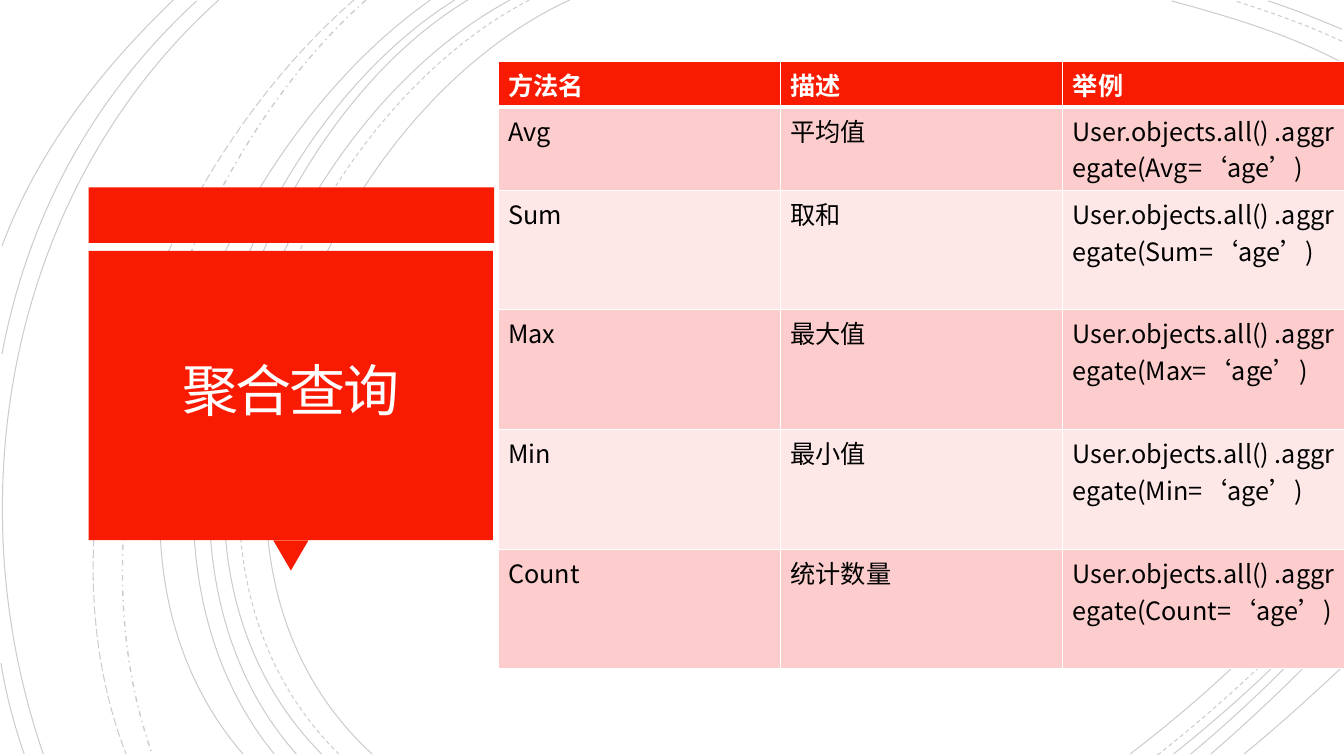
import lxml.etree
import pptx
import pptx.dml.color
import pptx.enum.dml
import pptx.enum.shapes
import pptx.enum.text
import pptx.oxml.ns
import pptx.util

Inches, Pt = pptx.util.Inches, pptx.util.Pt
qn = pptx.oxml.ns.qn
Dash = pptx.enum.dml.MSO_LINE
Form = pptx.enum.shapes.MSO_SHAPE

THEME = {
    "font": "Noto Sans CJK SC",
    "red": "F81B02", "pink": "FCCDCC", "pale": "FEE8E7",
    "white": "FFFFFF", "title": "FFFEFF", "black": "000000",
    "head size": 40, "cell size": 18, "thin": 0.75, "thick": 1,
}

TITLE = "聚合查询"
HEADS = ("方法名", "描述", "举例")
METHODS = (("Avg", "平均值"), ("Sum", "取和"), ("Max", "最大值"),
           ("Min", "最小值"), ("Count", "统计数量"))
ROWS = [HEADS] + [(name, note, f"User.objects.all() .aggregate({name}=‘age’)")
                  for name, note in METHODS]
HEIGHTS = (0.45, 0.83, 1.18, 1.19, 1.19, 1.18)
WIDTH = 2.8

ARCS = {
    Dash.SOLID: (
        ((5.65, 0), (3.15, 1.15), (1.43, 5.4), (3.69, 7.48)),
        ((13.31, 0.62), (12.78, 0.34), (12.18, 0.16), (11.62, 0.01)),
        ((11.21, 7.48), (11.97, 6.9), (12.69, 6.22), (13.31, 5.48)),
        ((5.06, 0), (2.7, 1.27), (1.1, 5.37), (3.19, 7.48)),
        ((13.31, 0.29), (13.07, 0.19), (12.83, 0.09), (12.58, 0.01)),
        ((11.64, 7.48), (12.23, 7.01), (12.8, 6.48), (13.31, 5.91)),
        ((4.64, 0), (2.44, 1.33), (1.1, 5.41), (2.94, 7.48)),
        ((11.81, 7.48), (12.34, 7.04), (12.84, 6.55), (13.31, 6.03)),
        ((4.51, 0), (2.31, 1.38), (0.97, 5.33), (2.72, 7.48)),
        ((12.01, 7.48), (12.46, 7.09), (12.9, 6.67), (13.31, 6.23)),
        ((4.27, 0), (2.17, 1.47), (0.53, 5.29), (2.41, 7.48)),
        ((12.34, 7.48), (12.67, 7.21), (12.99, 6.92), (13.31, 6.62)),
        ((2.17, 0), (0.11, 1.85), (-0.46, 4.9), (0.43, 7.48)),
        ((1.95, 0.01), (0.92, 0.96), (0.28, 2.14), (0.02, 3.51)),
        ((0.01, 6.58), (0.06, 6.89), (0.14, 7.19), (0.24, 7.48)),
        ((1.72, 0), (1, 0.69), (0.37, 1.5), (0.02, 2.44)),
    ),
    Dash.DASH: (
        ((5.25, 0), (2.85, 1.25), (1.23, 5.37), (3.36, 7.48)),
        ((13.31, 0.41), (12.97, 0.25), (12.6, 0.12), (12.25, 0.01)),
        ((11.48, 7.49), (12.13, 6.98), (12.75, 6.4), (13.3, 5.77)),
    ),
    Dash.DASH_DOT: (((3.63, 0), (1.76, 1.66), (0.65, 5.09), (1.51, 7.48)),),
    Dash.LONG_DASH: (((3.51, 0), (1.57, 1.69), (0.29, 4.99), (1.25, 7.48)),),
}

BLOCKS = (
    (Form.RECTANGLE, (0.88, 1.86, 4.02, 0.55), 0),
    (Form.ISOSCELES_TRIANGLE, (2.71, 5.36, 0.35, 0.3), 180),
    (Form.RECTANGLE, (0.88, 2.49, 4.01, 2.87), 0),
)


def shade(name):
    return pptx.dml.color.RGBColor.from_string(THEME[name])


def write(frame, words, size="cell size", color="black", bold=False,
          align=None, space=None, track=None):
    para = frame.paragraphs[0]
    para.alignment = align
    para.line_spacing = space
    run = para.add_run()
    run.text = words
    font = run.font
    font.size, font.bold, font.name = Pt(THEME[size]), bold, THEME["font"]
    font.color.rgb = shade(color)
    props = run._r.get_or_add_rPr()
    props.set("lang", "zh-CN")
    if track:
        props.set("spc", str(int(track * 100)))
    lxml.etree.SubElement(props, qn("a:ea"), typeface=THEME["font"])


def draw_arc(slide, points, dash):
    start, *rest = [tuple(Inches(n) for n in point) for point in points]
    pen = slide.shapes.build_freeform(*start)
    pen.add_line_segments(rest, close=False)
    arc = pen.convert_to_shape()
    steps = list(arc._element.iter(qn("a:lnTo")))
    curve = lxml.etree.SubElement(steps[0].getparent(), qn("a:cubicBezTo"))
    for step in steps:
        curve.append(step[0])
        step.getparent().remove(step)
    arc.shadow.inherit = False
    arc.fill.background()
    line = arc.line
    line.color.rgb = shade("black")
    line.width = Pt(THEME["thick" if dash == Dash.DASH_DOT else "thin"])
    line.dash_style = dash
    tint = next(arc._element.spPr.iter(qn("a:srgbClr")))
    lxml.etree.SubElement(tint, qn("a:alpha"), val="20000")


def draw_block(slide, form, box, turn):
    block = slide.shapes.add_shape(form, *map(Inches, box))
    block.rotation = turn
    block.shadow.inherit = False
    block.fill.solid()
    block.fill.fore_color.rgb = shade("red")
    block.line.fill.background()


def draw_title(slide):
    box = slide.shapes.add_textbox(*map(Inches, (0.97, 2.57, 3.83, 2.69)))
    frame = box.text_frame
    frame.word_wrap = True
    frame.vertical_anchor = pptx.enum.text.MSO_ANCHOR.MIDDLE
    frame.margin_left = frame.margin_right = Inches(0.25)
    frame.margin_top = frame.margin_bottom = Inches(0.25)
    write(frame, TITLE, size="head size", color="title", space=0.85,
          align=pptx.enum.text.PP_ALIGN.CENTER, track=-1.5)


def edge(cell, **widths):
    props = cell._tc.get_or_add_tcPr()
    for side in "LRTB":
        line = lxml.etree.SubElement(props, qn("a:ln" + side),
                                     w=str(Pt(widths.get(side, 1))))
        fill = lxml.etree.SubElement(line, qn("a:solidFill"))
        lxml.etree.SubElement(fill, qn("a:srgbClr"), val=THEME["white"])


def draw_table(slide):
    box = (4.94, 0.61, WIDTH * len(HEADS), sum(HEIGHTS))
    table = slide.shapes.add_table(len(ROWS), len(HEADS),
                                   *map(Inches, box)).table
    for col in table.columns:
        col.width = Inches(WIDTH)
    for r, row in enumerate(ROWS):
        table.rows[r].height = Inches(HEIGHTS[r])
        head = r == 0
        tone = "red" if head else "pink" if r % 2 else "pale"
        for c, words in enumerate(row):
            cell = table.cell(r, c)
            edge(cell, B=3 if head else 1, T=3 if r == 1 else 1)
            cell.fill.solid()
            cell.fill.fore_color.rgb = shade(tone)
            write(cell.text_frame, words, bold=head,
                  color="white" if head else "black")


def main():
    deck = pptx.Presentation()
    deck.slide_width, deck.slide_height = Inches(13.33), Inches(7.5)
    slide = deck.slides.add_slide(deck.slide_layouts[6])
    for dash, arcs in ARCS.items():
        for points in arcs:
            draw_arc(slide, points, dash)
    for block in BLOCKS:
        draw_block(slide, *block)
    draw_title(slide)
    draw_table(slide)
    deck.save("out.pptx")


if __name__ == "__main__":
    main()
